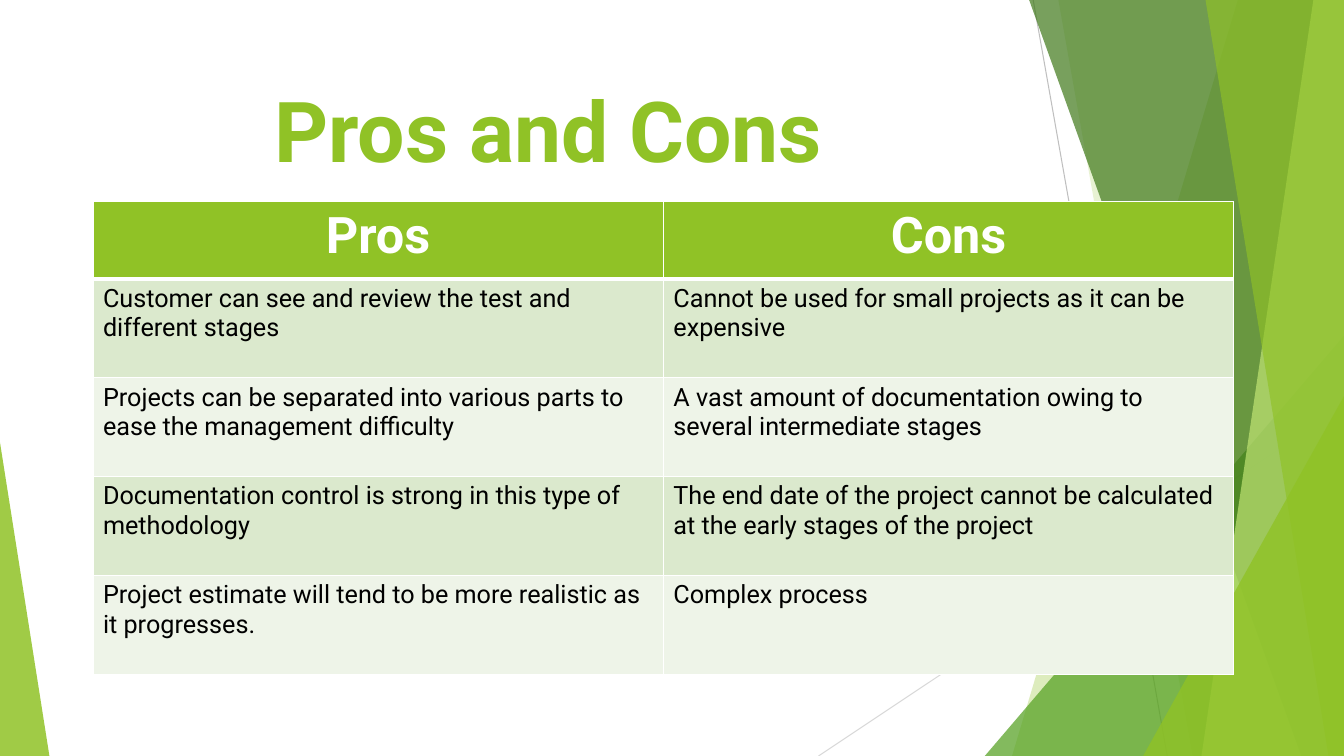
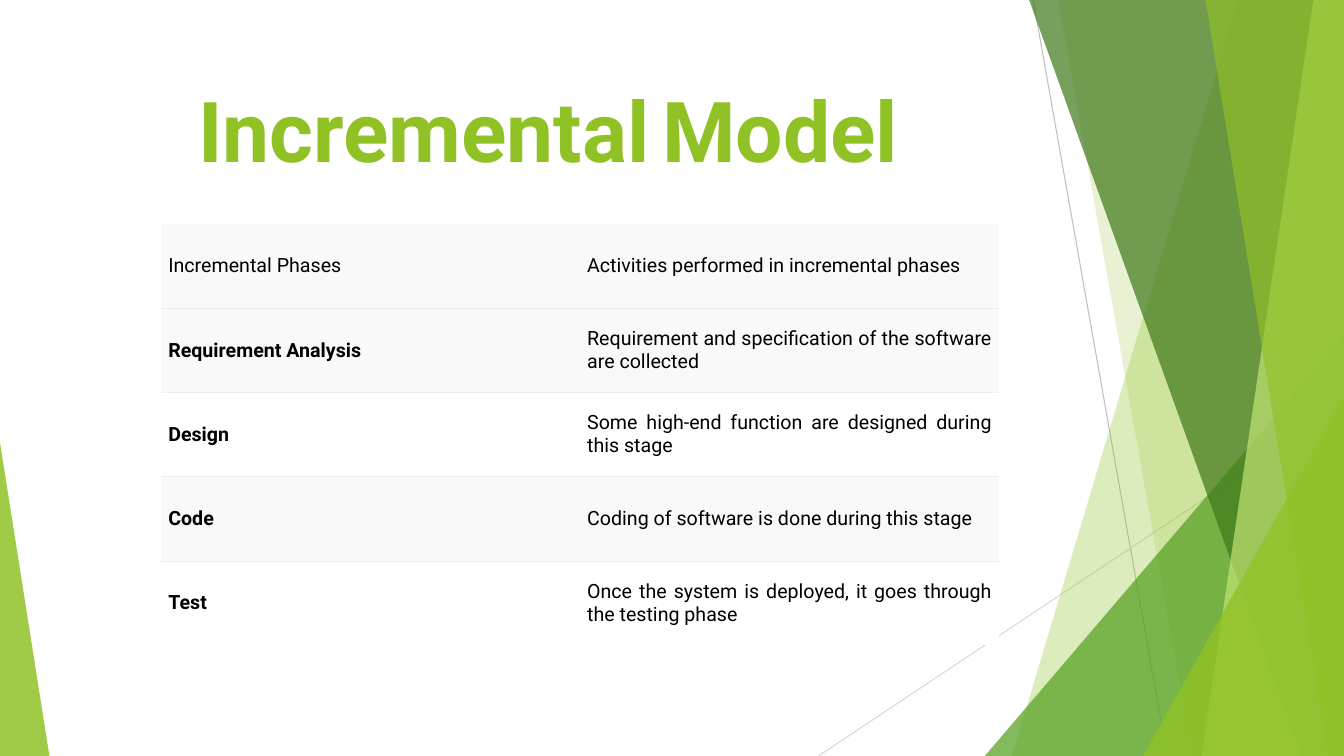
import pptx
import pptx.util
import pptx.dml.color
import pptx.enum.shapes
import pptx.enum.text
import pptx.oxml
import pptx.oxml.ns

Pt = pptx.util.Pt
RGBColor = pptx.dml.color.RGBColor
Align = pptx.enum.text.PP_ALIGN
Anchor = pptx.enum.text.MSO_ANCHOR
Shape = pptx.enum.shapes.MSO_SHAPE
qn = pptx.oxml.ns.qn

LIME = RGBColor(0x90, 0xC2, 0x26)
PALE_LIME = RGBColor(0xC0, 0xE4, 0x74)
GREEN = RGBColor(0x54, 0xA0, 0x21)
FOREST = RGBColor(0x3F, 0x78, 0x19)
GRAY = RGBColor(0xBF, 0xBF, 0xBF)
LIGHT_GRAY = RGBColor(0xD9, 0xD9, 0xD9)
RULE_GRAY = RGBColor(0xEE, 0xEE, 0xEE)
ROW_GRAY = RGBColor(0xF9, 0xF9, 0xF9)
SAGE = RGBColor(0xDB, 0xE9, 0xCD)
PALE_SAGE = RGBColor(0xEE, 0xF4, 0xE8)
WHITE = RGBColor(0xFF, 0xFF, 0xFF)
BLACK = RGBColor(0x00, 0x00, 0x00)
FONT = "Roboto"
WIDTH, HEIGHT = 960, 540

RAYS = [((738, 0), (833.76, HEIGHT), GRAY), ((WIDTH, 290), (584.64, HEIGHT), LIGHT_GRAY)]

# Bands are (top x, bottom x); triangles are (left, top, width, apex).
FACETS = [
    ((884.16, 722.88), LIME, 30),
    ((756, 851.76), LIME, 20),
    ((703.44, 239.76, 256.56, 1), GREEN, 72),
    ((735.12, 929.52), FOREST, 70),
    ((938.16, 858.24), PALE_LIME, 70),
    ((861.12, 948.96), LIME, 65),
    ((816.48, 282.96, 143.52, 1), LIME, 80),
    ((0, 316.08, 35.28, 0), LIME, 85),
]

PROS_HEADER = {
    "font": {"size": Pt(36), "bold": True}, "color": WHITE, "align": Align.CENTER,
}
PROS_BODY = {
    "font": {"size": Pt(18), "bold": False}, "color": BLACK, "align": Align.LEFT,
}
PHASE = {
    "font": {"size": Pt(14), "bold": True}, "color": BLACK, "align": Align.JUSTIFY,
}
ACTIVITY = {**PHASE, "font": {"size": Pt(14), "bold": False}}

WHITE_GRID = {side: (WHITE, 1) for side in "LRTB"}
ROW_RULES = {"L": None, "R": None, "T": (RULE_GRAY, 0.75), "B": (RULE_GRAY, 0.75)}

SLIDES = [
    {
        "title": [("Pros and Cons", 60, True)],
        "at": (66.4, 144),
        "column": 407.5,
        "heights": [55.2] + [70.6] * 4,
        "fills": [LIME, SAGE, PALE_SAGE, SAGE, PALE_SAGE],
        "styles": [(PROS_HEADER, PROS_HEADER)] + [(PROS_BODY, PROS_BODY)] * 4,
        "borders": [
            {**WHITE_GRID, "B": (WHITE, 3)},
            {**WHITE_GRID, "T": (WHITE, 3)},
        ] + [WHITE_GRID] * 3,
        "cell": {},
        "rows": [
            ("Pros", "Cons"),
            ("Customer can see and review the test and different stages",
             "Cannot be used for small projects as it can be expensive"),
            ("Projects can be separated into various parts to ease the management difficulty",
             "A vast amount of documentation owing to several intermediate stages"),
            ("Documentation control is strong in this type of methodology",
             "The end date of the project cannot be calculated at the early stages of the project"),
            ("Project estimate will tend to be more realistic as it progresses.",
             "Complex process"),
        ],
    },
    {
        "title": [("Incremental", 60, True), (" ", 36, False), ("Model", 60, True)],
        "at": (115.2, 160),
        "column": 299.2,
        "heights": [60.2] * 5,
        "fills": [ROW_GRAY, ROW_GRAY, WHITE, ROW_GRAY, WHITE],
        "styles": [(ACTIVITY, ACTIVITY)] + [(PHASE, ACTIVITY)] * 4,
        "borders": [{**ROW_RULES, "T": None}] + [ROW_RULES] * 3 + [{**ROW_RULES, "B": None}],
        "cell": {
            "vertical_anchor": Anchor.MIDDLE,
            "margin_left": Pt(5), "margin_right": Pt(5),
            "margin_top": Pt(2.9), "margin_bottom": Pt(2.9),
        },
        "rows": [
            ("Incremental Phases", "Activities performed in incremental phases"),
            ("Requirement Analysis", "Requirement and specification of the software are collected"),
            ("Design", "Some high-end function are designed during this stage"),
            ("Code", "Coding of software is done during this stage"),
            ("Test", "Once the system is deployed, it goes through the testing phase"),
        ],
    },
]


def add_run(paragraph, text, color, values):
    run = paragraph.add_run()
    run.text = text
    for name, value in {"name": FONT, **values}.items():
        setattr(run.font, name, value)
    run.font.color.rgb = color


def set_borders(cell, borders):
    properties = cell._tc.get_or_add_tcPr()
    for side, border in borders.items():
        edge = pptx.oxml.parse_xml(
            f'<a:ln{side} xmlns:a="http://schemas.openxmlformats.org/drawingml/2006/main"/>')
        if border:
            color, weight = border
            edge.set("w", str(Pt(weight)))
            solid = edge.makeelement(qn("a:solidFill"), {})
            solid.append(edge.makeelement(qn("a:srgbClr"), {"val": str(color)}))
            edge.append(solid)
        else:
            edge.append(edge.makeelement(qn("a:noFill"), {}))
        properties.append(edge)


deck = pptx.Presentation()
deck.slide_width, deck.slide_height = Pt(WIDTH), Pt(HEIGHT)

for content in SLIDES:
    slide = deck.slides.add_slide(deck.slide_layouts[6])
    shapes = slide.shapes

    for start, end, color in RAYS:
        ray = shapes.add_connector(
            pptx.enum.shapes.MSO_CONNECTOR.STRAIGHT, *map(Pt, start + end))
        ray.line.color.rgb = color
        ray.line.width = Pt(0.75)
        ray_properties = ray._element.spPr
        ray_properties.append(ray_properties.makeelement(qn("a:effectLst"), {}))

    for outline, color, opacity in FACETS:
        if len(outline) == 2:
            top_x, bottom_x = map(Pt, outline)
            band = shapes.build_freeform(top_x, 0, scale=1.0)
            band.add_line_segments(
                [(Pt(WIDTH), 0), (Pt(WIDTH), Pt(HEIGHT)), (bottom_x, Pt(HEIGHT))], close=True)
            facet = band.convert_to_shape()
        else:
            left, top, width, apex = outline
            facet = shapes.add_shape(
                Shape.ISOSCELES_TRIANGLE, Pt(left), Pt(top), Pt(width), Pt(HEIGHT - top))
            facet.adjustments[0] = apex
        facet.shadow.inherit = False
        facet.line.fill.background()
        facet.fill.solid()
        facet.fill.fore_color.rgb = color
        tint = facet._element.spPr.find(qn("a:solidFill")).find(qn("a:srgbClr"))
        tint.append(tint.makeelement(qn("a:alpha"), {"val": str(opacity * 1000)}))

    title = shapes.add_textbox(Pt(53.3), Pt(48.2), Pt(676.8), Pt(103.7)).text_frame
    title.word_wrap = True
    title.vertical_anchor = Anchor.TOP
    title.margin_top = Pt(8)
    heading = title.paragraphs[0]
    heading.alignment = Align.CENTER
    for text, size, bold in content["title"]:
        add_run(heading, text, LIME, {"size": Pt(size), "bold": bold})

    rows, column, heights = content["rows"], content["column"], content["heights"]
    left, top = content["at"]
    table = shapes.add_table(
        len(rows), 2, Pt(left), Pt(top), Pt(2 * column), Pt(sum(heights))).table
    table.first_row = False
    table.horz_banding = False
    for row_index, texts in enumerate(rows):
        table.rows[row_index].height = Pt(heights[row_index])
        for column_index, text in enumerate(texts):
            cell = table.cell(row_index, column_index)
            style = content["styles"][row_index][column_index]
            set_borders(cell, content["borders"][row_index])
            cell.fill.solid()
            cell.fill.fore_color.rgb = content["fills"][row_index]
            for name, value in content["cell"].items():
                setattr(cell, name, value)
            paragraph = cell.text_frame.paragraphs[0]
            paragraph.alignment = style["align"]
            add_run(paragraph, text, style["color"], style["font"])

deck.save("out.pptx")
